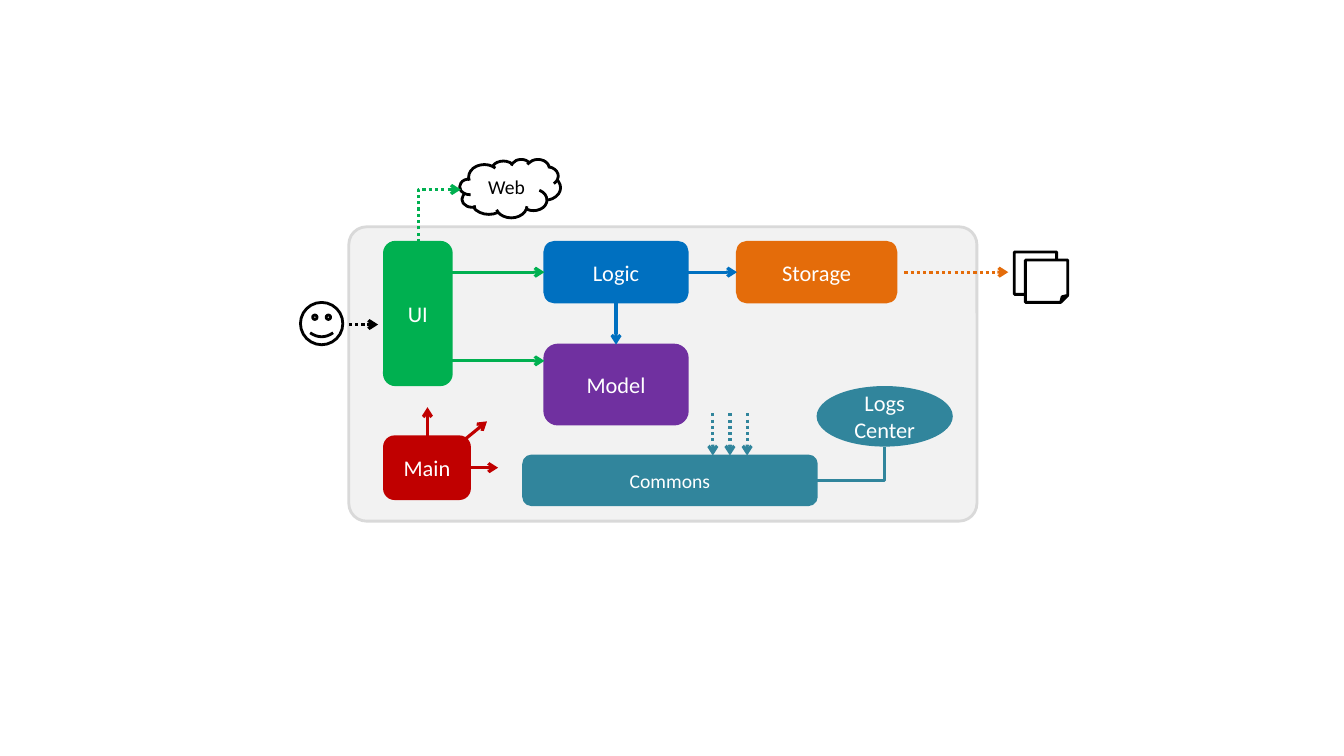
import pptx
import pptx.util
import pptx.dml.color
import pptx.enum.dml
import pptx.enum.shapes
import pptx.enum.text
import pptx.oxml
import pptx.oxml.ns

Inches = pptx.util.Inches
Pt = pptx.util.Pt
Kind = pptx.enum.shapes.MSO_SHAPE
Link = pptx.enum.shapes.MSO_CONNECTOR

theme = {
    "font": "Calibri", "large": 16, "small": 14,
    "white": "FFFFFF", "black": "000000", "panel": "F2F2F2", "frame": "D9D9D9",
    "ui": "00B050", "logic": "0070C0", "storage": "E46C0A",
    "model": "7030A0", "commons": "31859C", "main": "C00000",
    "box_line": 1.5, "outline": 2, "arrow": 2.25,
}


def color(name):
    return pptx.dml.color.RGBColor.from_string(theme[name])


def add_box(kind, place, fill, line, width, text="", size="large", ink="white"):
    box = page.shapes.add_shape(kind, *map(Inches, place))
    box.shadow.inherit = False
    box.fill.solid()
    box.fill.fore_color.rgb = color(fill)
    box.line.color.rgb = color(line)
    box.line.width = Pt(theme[width])
    if text:
        frame = box.text_frame
        layout = {"margin_left": 0, "margin_right": 0, "margin_top": 0, "margin_bottom": 0,
                  "word_wrap": True, "vertical_anchor": pptx.enum.text.MSO_ANCHOR.MIDDLE}
        for name, value in layout.items():
            setattr(frame, name, value)
        para = frame.paragraphs[0]
        para.text = text
        para.alignment = pptx.enum.text.PP_ALIGN.CENTER
        for name, value in {"name": theme["font"], "size": Pt(theme[size])}.items():
            setattr(para.font, name, value)
        para.font.color.rgb = color(ink)
    return box


def add_link(kind, ends, ink, dotted=False, arrow=True):
    link = page.shapes.add_connector(kind, *map(Inches, ends))
    link.line.color.rgb = color(ink)
    link.line.width = Pt(theme["arrow"])
    if dotted:
        link.line.dash_style = pptx.enum.dml.MSO_LINE.ROUND_DOT
    properties = link._element.spPr
    if arrow:
        head = pptx.oxml.parse_xml(f'<a:tailEnd {pptx.oxml.ns.nsdecls("a")} type="arrow"/>')
        properties.find(pptx.oxml.ns.qn("a:ln")).append(head)
    properties.append(pptx.oxml.parse_xml(f'<a:effectLst {pptx.oxml.ns.nsdecls("a")}/>'))
    return link


deck = pptx.Presentation()
deck.slide_width = Inches(13.33)
deck.slide_height = Inches(7.5)
page = deck.slides.add_slide(deck.slide_layouts[6])

panel = add_box(Kind.ROUNDED_RECTANGLE, (3.46, 2.25, 6.23, 2.92), "panel", "frame", "outline")
panel.adjustments[0] = 0.06

components = [
    ("UI", (3.81, 2.4, 0.67, 1.42), "ui", "large"),
    ("Logic", (5.4, 2.4, 1.42, 0.6), "logic", "large"),
    ("Storage", (7.31, 2.4, 1.58, 0.6), "storage", "large"),
    ("Model", (5.4, 3.42, 1.42, 0.79), "model", "large"),
    ("Commons", (5.19, 4.52, 2.91, 0.49), "commons", "small"),
    ("Main", (3.81, 4.33, 0.85, 0.62), "main", "large"),
]
for text, place, ink, size in components:
    add_box(Kind.ROUNDED_RECTANGLE, place, ink, ink, "box_line", text, size)
add_box(Kind.OVAL, (8.11, 3.84, 1.33, 0.58), "commons", "commons", "box_line", "Logs\vCenter")

outside = [
    (Kind.SMILEY_FACE, (2.98, 3, 0.42, 0.42), ""),
    (Kind.FOLDED_CORNER, (10.06, 2.5, 0.42, 0.42), ""),
    (Kind.FOLDED_CORNER, (10.17, 2.58, 0.42, 0.42), ""),
    (Kind.CLOUD, (4.56, 1.58, 1, 0.58), "Web"),
]
for kind, place, text in outside:
    add_box(kind, place, "white", "black", "outline", text, "small", "black")

arrows = [
    ((4.48, 2.7, 5.4, 2.7), "ui", False),
    ((4.48, 3.58, 5.4, 3.58), "ui", False),
    ((6.11, 3, 6.11, 3.42), "logic", False),
    ((6.81, 2.7, 7.31, 2.7), "logic", False),
    ((3.46, 3.22, 3.75, 3.22), "black", True),
    ((8.97, 2.7, 10, 2.7), "storage", True),
    ((4.67, 4.64, 4.94, 4.64), "main", False),
    ((4.5, 4.45, 4.83, 4.18), "main", False),
    ((4.24, 4.37, 4.24, 4.04), "main", False),
]
arrows += [((x, 4.1, x, 4.52), "commons", True) for x in (7.07, 7.24, 7.41)]
for ends, ink, dotted in arrows:
    add_link(Link.STRAIGHT, ends, ink, dotted)

web_link = add_link(Link.ELBOW, (4.1, 1.93, 4.62, 2.35), "ui", dotted=True)
logs_link = add_link(Link.ELBOW, (8.27, 4.26, 8.6, 4.94), "commons", arrow=False)
for link, degrees in ((web_link, 270), (logs_link, 90)):
    properties = link._element.spPr
    properties.find(pptx.oxml.ns.qn("a:prstGeom")).set("prst", "bentConnector2")
    properties.find(pptx.oxml.ns.qn("a:xfrm")).set("rot", str(degrees * 60000))

deck.save("out.pptx")
